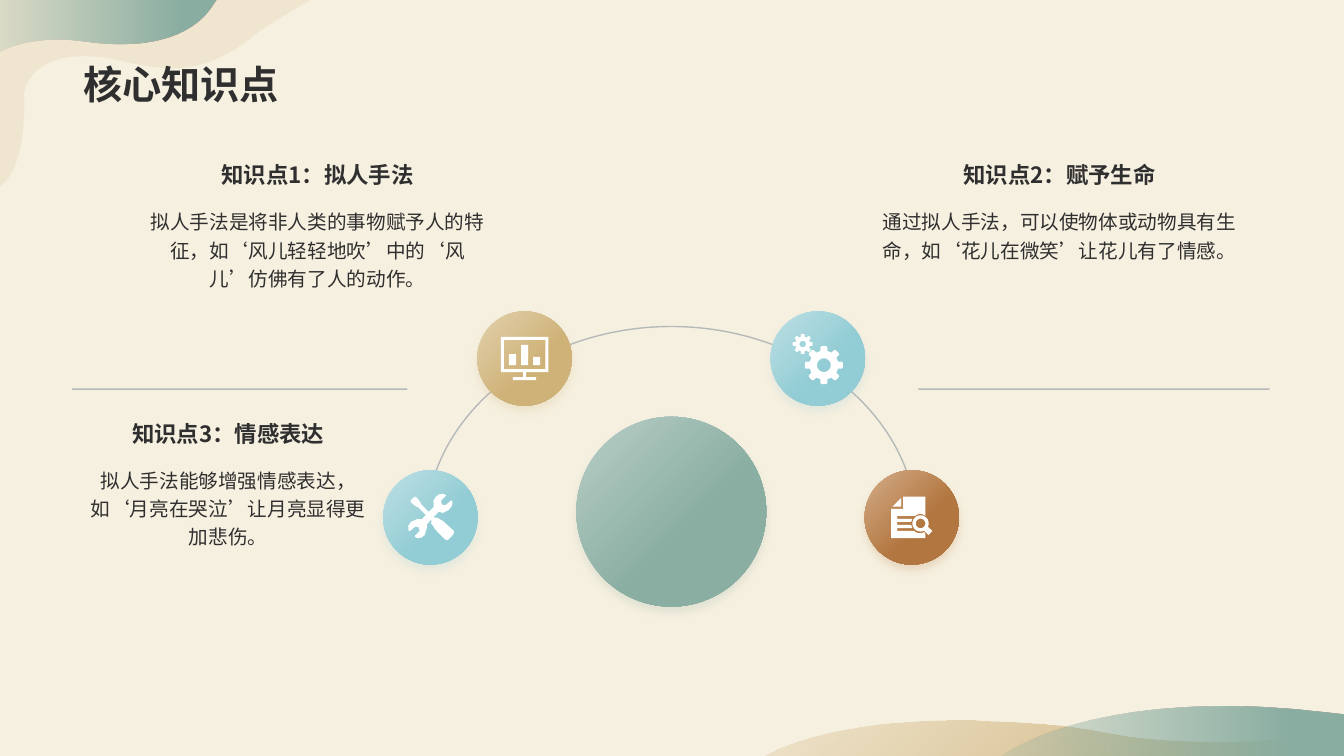
from math import cos, radians, sin

from lxml import etree
from pptx import Presentation
from pptx.dml.color import RGBColor
from pptx.enum.lang import MSO_LANGUAGE_ID
from pptx.enum.shapes import MSO_CONNECTOR, MSO_SHAPE
from pptx.enum.text import MSO_ANCHOR, MSO_AUTO_SIZE, PP_ALIGN
from pptx.oxml.ns import qn
from pptx.util import Pt

OVAL, ARC = MSO_SHAPE.OVAL, MSO_SHAPE.ARC
STRAIGHT = MSO_CONNECTOR.STRAIGHT
TOP, BOTTOM = MSO_ANCHOR.TOP, MSO_ANCHOR.BOTTOM
LEFT, CENTER = PP_ALIGN.LEFT, PP_ALIGN.CENTER
GROW, FIXED = MSO_AUTO_SIZE.SHAPE_TO_FIT_TEXT, MSO_AUTO_SIZE.NONE
CHINESE = MSO_LANGUAGE_ID.SIMPLIFIED_CHINESE

CREAM = RGBColor(0xF6, 0xF0, 0xE0)
INK = RGBColor(0x2F, 0x2F, 0x2F)
GREY = RGBColor(0x77, 0x84, 0x95)
WHITE = RGBColor(0xFF, 0xFF, 0xFF)
SAGE, MIST = RGBColor(0x8A, 0xAE, 0xA2), RGBColor(0xB9, 0xCE, 0xC7)
SAND, PALE = RGBColor(0xCF, 0xB2, 0x78), RGBColor(0xE2, 0xD1, 0xAE)
AQUA, ICE = RGBColor(0x92, 0xCC, 0xD4), RGBColor(0xBE, 0xE0, 0xE5)
RUST, CLAY = RGBColor(0xB2, 0x76, 0x40), RGBColor(0xD4, 0xAD, 0x89)


def fade(fill, pct):
    """Make the last colour set inside a fill see-through."""
    for node in fill.iter(qn("a:srgbClr")):
        etree.SubElement(node, qn("a:alpha")).set("val", str(pct * 1000))
        break


# Outlines, all in points
def trace(start, *steps):
    """Turn lines (x, y) and curves (six numbers) into points."""
    pts = [start]
    for step in steps:
        if len(step) == 2:
            pts.append(step)
            continue
        x0, y0 = pts[-1]
        x1, y1, x2, y2, x3, y3 = step
        for i in range(1, 25):
            t = i / 24
            u = 1 - t
            a, b, c, d = u ** 3, 3 * u * u * t, 3 * u * t * t, t ** 3
            pts.append((a * x0 + b * x1 + c * x2 + d * x3,
                        a * y0 + b * y1 + c * y2 + d * y3))
    return pts


def rect(x0, y0, x1, y1):
    return [(x0, y0), (x1, y0), (x1, y1), (x0, y1)]


def bend(x, y, r, a0=0, a1=360):
    turns = [radians(a0 + (a1 - a0) * i / 36) for i in range(37)]
    return [(x + r * cos(t), y + r * sin(t)) for t in turns]


def gear(x, y, tip, root, hole):
    rim = []
    for tooth in range(0, 360, 45):
        for off, r in ((-14, root), (-11, tip * 0.95), (-7, tip),
                       (7, tip), (11, tip * 0.95), (14, root)):
            t = radians(tooth + off)
            rim.append((x + r * cos(t), y + r * sin(t)))
    return [rim, bend(x, y, hole)]


class Deck:
    font = "Noto Sans CJK SC"

    def __init__(self):
        self.prs = Presentation()
        self.prs.slide_width, self.prs.slide_height = Pt(960), Pt(540)
        self.slide = self.prs.slides.add_slide(self.prs.slide_layouts[6])
        self.shapes = self.slide.shapes
        back = self.slide.background.fill
        back.solid()
        back.fore_color.rgb = CREAM

    def blend(self, shape, first, last, end, angle, alpha=None):
        shape.fill.gradient()
        shape.fill.gradient_angle = (360 - angle) % 360
        stops = shape.fill.gradient_stops
        for stop, color, pos in zip(stops, (first, last), (0, end)):
            stop.color.rgb, stop.position = color, pos
        if alpha:
            fade(shape.fill._xPr.find(qn("a:gradFill")), alpha)

    def stroke(self, line):
        line.color.rgb, line.width = GREY, Pt(1)
        fade(line._ln, 50)

    def form(self, loops, x=0, y=0):
        pen = None
        for loop in loops:
            pts = [((x + a) * 100, (y + b) * 100) for a, b in loop]
            if pen is None:
                pen = self.shapes.build_freeform(*pts[0], scale=127)
            else:
                pen.move_to(*pts[0])
            pen.add_line_segments(pts[1:], close=True)
        shape = pen.convert_to_shape()
        shape.shadow.inherit = False
        shape.line.fill.background()
        shape.fill.solid()
        shape.fill.fore_color.rgb = WHITE
        return shape

    def disc(self, x, y, size, light, dark):
        r = size / 2
        shape = self.shapes.add_shape(OVAL, Pt(x - r), Pt(y - r), Pt(size), Pt(size))
        shape.line.fill.background()
        self.blend(shape, light, dark, 0.6, 45)
        shape.shadow.inherit = False
        effect = shape._element.spPr.find(qn("a:effectLst"))
        glow = etree.SubElement(effect, qn("a:outerShdw"), blurRad=str(Pt(6)),
                                dist=str(Pt(4)), dir="5400000", algn="t", rotWithShape="0")
        etree.SubElement(glow, qn("a:srgbClr"), val=str(dark))
        fade(glow, 20)

    def arc(self, x, y, w, h):
        shape = self.shapes.add_shape(ARC, Pt(x), Pt(y), Pt(w), Pt(h))
        shape.shadow.inherit = False
        shape.adjustments[0], shape.adjustments[1] = 108, 0.206
        shape.fill.background()
        self.stroke(shape.line)

    def rule(self, x0, x1, y):
        line = self.shapes.add_connector(STRAIGHT, Pt(x0), Pt(y), Pt(x1), Pt(y))
        etree.SubElement(line._element.spPr, qn("a:effectLst"))
        self.stroke(line.line)

    def text(self, x, y, w, h, words, size, bold=False, anchor=TOP,
             align=CENTER, lead=None, fit=GROW):
        frame = self.shapes.add_textbox(Pt(x), Pt(y), Pt(w), Pt(h)).text_frame
        frame.word_wrap, frame.auto_size = True, fit
        frame.vertical_anchor = anchor
        para = frame.paragraphs[0]
        para.alignment, para.line_spacing = align, lead
        run = para.add_run()
        run.text = words
        font = run.font
        font.size, font.bold, font.name = Pt(size), bold, self.font
        font.color.rgb, font.language_id = INK, CHINESE
        etree.SubElement(font._element, qn("a:ea"), typeface=self.font)

    def point(self, x, y, w, head, body):
        self.text(x, y, w, 26.6, head, 16, True, BOTTOM)
        self.text(x, y + 31.7, w, 27.4, body, 14, lead=1.2)


# Icons, measured from the middle of their disc
TOOLS = [[
    (16.9, 9.7), (9, 2.5), (7.6, 1.8), (5.4, 0.4), (4.2, 0), (3.2, 0.4), (2.5, -0.4),
    (6.1, -4), (9, -3.2), (13.3, -5.4), (15.6, -8.5), (15.8, -11.9), (14.6, -11.9),
    (11.2, -9), (10.2, -8.8), (8.3, -9.2), (7.6, -11.9), (11.2, -15.5), (10.6, -16.3),
    (9, -16.9), (6.3, -16.5), (4, -14.8), (2.2, -12), (2.5, -7.6), (-1.1, -4),
    (-6.8, -9.7), (-7, -10.6), (-8.3, -12.6), (-10.4, -14.6), (-11.2, -14.8),
    (-14, -12.2), (-14, -11.2), (-11.9, -9), (-9.7, -7.6), (-9, -7.6), (-3.2, -1.8),
    (-6.1, 1.4), (-9, 1.1), (-13.8, 3.2), (-15.8, 6.2), (-15.5, 9.7), (-14.4, 9.7),
    (-11.2, 6.8), (-10.2, 6.6), (-8.3, 7), (-7.6, 9.7), (-11.2, 13.3), (-10.6, 14.2),
    (-9, 14.8), (-6.2, 14.4), (-4, 12.6), (-2.5, 7.6), (-2.3, 4.8), (0.4, 1.8),
    (1.1, 2.6), (0.4, 4), (2.4, 6.6), (3.2, 8.3), (10.4, 15.6), (11.8, 16.3),
    (13, 15.8), (16.7, 11.8)]]
SCREEN = [rect(-17, -15.5, 17, 9.7), rect(-14.8, -13.3, 14.8, 7.6),
          rect(-11.2, -3.2, -6.1, 4.7), rect(-2.5, -9.7, 2.5, 4.7),
          rect(6.1, -1.1, 11.2, 4.7), rect(-1.1, 9.7, 1.1, 13.3),
          rect(-8.3, 13.3, 8.3, 15.5)]
GEARS = gear(4.3, 4.7, 13.7, 10.4, 4.9) + gear(-10.8, -10.4, 7.2, 5.3, 2.3)
PAPER = [
    trace((-6.1, -14.8), (9.7, -14.8), (9.7, -1.1), (7.5, -2.9, 4.7, -2.9, 2.5, -1.1),
          (-10.4, -1.1), (-10.4, 1.1), (0.4, 1.1), (-0.4, 3.2), (-10.4, 3.2),
          (-10.4, 5.4), (-0.4, 5.4), (0.4, 7.6), (-10.4, 7.6), (-10.4, 9.7),
          (1.8, 9.7), (3.6, 11.5, 6.8, 11.7, 9, 10.4), (9.7, 11.9), (9.7, 14.8),
          (-14.8, 14.8), (-14.8, -6.1), (-6.1, -6.1)),
    [(-7.6, -13.9), (-7.6, -7.6), (-13.9, -7.6)],
    bend(6.3, 4.3, 5.8, 63, 385) + [(14.8, 9.7), (11.9, 12.6)],
    bend(6.3, 4.3, 3.4)]


def main():
    deck = Deck()

    # Corner waves
    low = deck.form([trace(
        (688.3, 514.8), (712, 514.8, 747.4, 517, 770.4, 519.8),
        (794.2, 523.4, 848.9, 537.1, 949.7, 524.2), (960, 522.7), (960, 540),
        (545, 540), (550.8, 536.4, 592.6, 514, 688.3, 514.8))])
    deck.blend(low, SAND, SAND, 1, 50, 20)
    tide = deck.form([trace(
        (877.7, 504.7), (897.8, 504.7, 920.9, 506.2, 945.4, 509), (960, 510.5),
        (960, 540), (715, 540), (722.2, 535, 769, 504, 877.7, 504.7))])
    deck.blend(tide, SAGE, SAGE, 0.85, 0, 20)
    dune = deck.form([trace(
        (-1.4, 133.9), (-1.4, 133.9, 18.7, 127.4, 17.3, 67.7),
        (17.3, 61.2, 25.9, 31.7, 82.1, 42.5), (113, 49.7, 143.3, 57.6, 183.6, 23.8),
        (189.4, 18.7, 221.8, 0, 221.8, 0), (0, 0))])
    dune.fill.fore_color.rgb = SAND
    fade(dune._element.spPr.find(qn("a:solidFill")), 15)
    crest = deck.form([trace(
        (-0.7, 0), (154.8, 0), (151.9, 4.3), (136.8, 27.4, 103, 35.3, 61.2, 29.5),
        (30.2, 25.2, 10, 31.7, 0.7, 36.7), (-0.7, 37.4))])
    deck.blend(crest, SAGE, SAGE, 0.85, 0, 20)

    # Centre, arc and rules
    deck.disc(479.5, 365.5, 135.6, MIST, SAGE)
    deck.arc(303.8, 233.2, 351.4, 291.6)
    deck.rule(51.6, 291, 278)
    deck.rule(656, 907, 278)

    # Discs with icons
    for x, y, light, dark, icon in (
            (307.4, 369.6, ICE, AQUA, TOOLS), (374.7, 256.1, PALE, SAND, SCREEN),
            (584.2, 256.1, ICE, AQUA, GEARS), (651.3, 369.6, CLAY, RUST, PAPER)):
        deck.disc(x, y, 67.4, light, dark)
        deck.form(icon, x, y)

    # Wording
    deck.point(95.8, 111.6, 262, "知识点1：拟人手法",
               "拟人手法是将非人类的事物赋予人的特征，如‘风儿轻轻地吹’中的‘风儿’仿佛有了人的动作。")
    deck.point(617.8, 111.6, 278, "知识点2：赋予生命",
               "通过拟人手法，可以使物体或动物具有生命，如‘花儿在微笑’让花儿有了情感。")
    deck.point(51.8, 296, 222.5, "知识点3：情感表达",
               "拟人手法能够增强情感表达，如‘月亮在哭泣’让月亮显得更加悲伤。")
    deck.text(52.5, 0, 854.6, 80.6, "核心知识点", 28, True, BOTTOM, LEFT, 0.9, FIXED)

    deck.prs.save("out.pptx")


if __name__ == "__main__":
    main()
